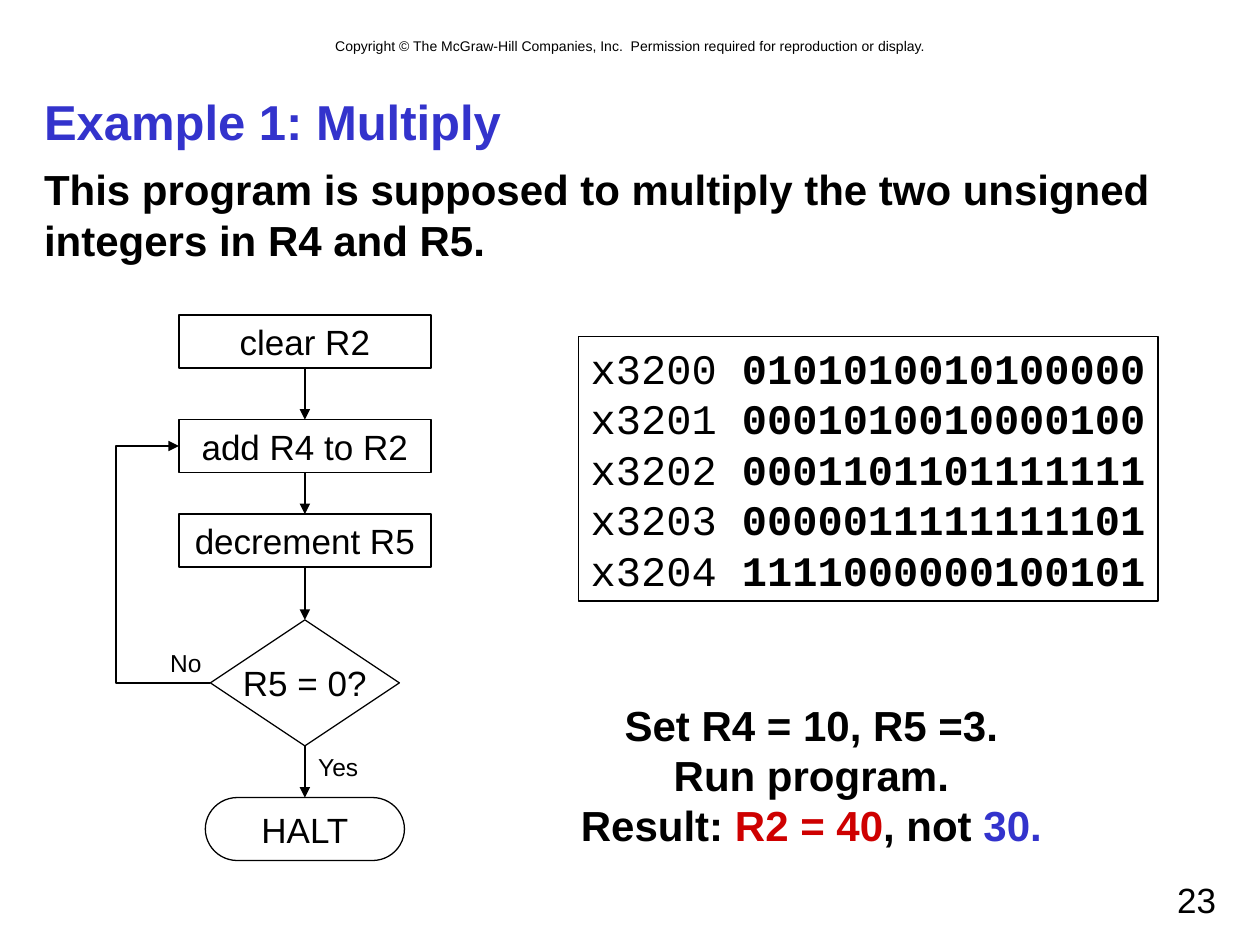
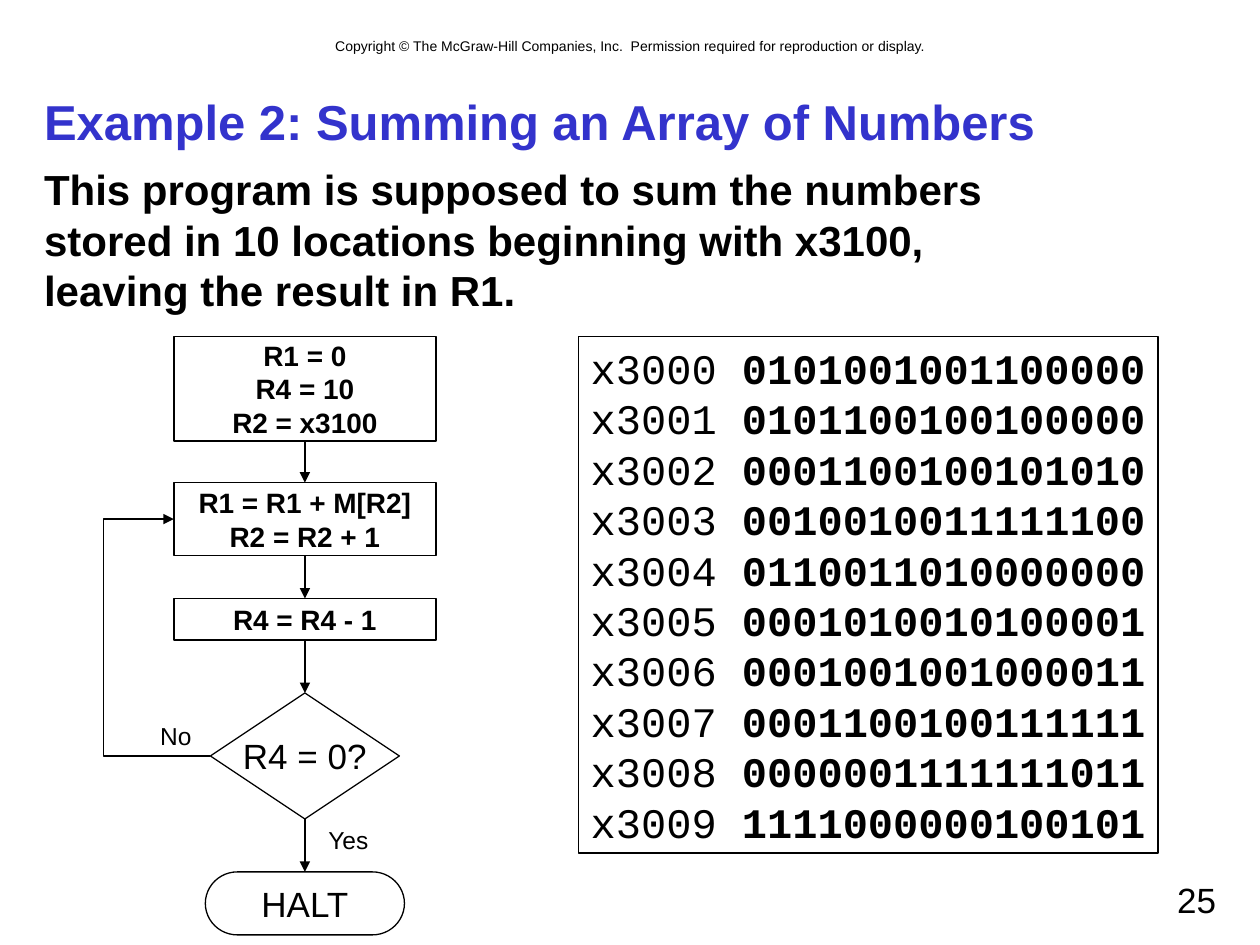
"""Build two flowchart example slides about tracing machine programs."""
from lxml.etree import SubElement
from pptx import Presentation
from pptx.dml.color import RGBColor
from pptx.enum.shapes import MSO_CONNECTOR as Link, MSO_SHAPE as Shape
from pptx.enum.text import MSO_ANCHOR as Anchor, MSO_AUTO_SIZE as AutoSize, PP_ALIGN as Align
from pptx.oxml.ns import qn
from pptx.util import Inches, Pt

BLACK = RGBColor(0x00, 0x00, 0x00)
BLUE = RGBColor(0x33, 0x33, 0xCC)
RED = RGBColor(0xCE, 0x00, 0x00)
SANS, MONO = "Arial", "Courier New"
COPYRIGHT = ("Copyright © The McGraw-Hill Companies, Inc.  "
             "Permission required for reproduction or display.")
FLOW_CENTER = 2.42
TOP, BOTTOM, LEFT = 0, 2, 1

DECISION = dict(kind=Shape.FLOWCHART_DECISION, width=1.5, height=1)
HALT = dict(kind=Shape.FLOWCHART_TERMINATOR, width=1.58, height=0.5, lines=["HALT"])
TASK = dict(kind=Shape.FLOWCHART_PROCESS, width=2, height=0.42)
STEP = dict(kind=Shape.RECTANGLE, width=2.08, size=16, bold=True)

SLIDES = [
    dict(
        title="Example 1: Multiply",
        body="This program is supposed to multiply the two unsigned\nintegers in R4 and R5.",
        body_height=1.08,
        number="23",
        flow_top=2.5,
        steps=[
            dict(TASK, lines=["clear R2"], gap=0.41),
            dict(TASK, lines=["add R4 to R2"], gap=0.33),
            dict(TASK, lines=["decrement R5"], gap=0.42),
            dict(DECISION, lines=["R5 = 0?"], gap=0.41),
            HALT,
        ],
        loop_left=0.92,
        no_left=1.25,
        yes_left=2.42,
        code_start="x320",
        code=["0101010010100000", "0001010010000100", "0001101101111111",
              "0000011111111101", "1111000000100101"],
        result=["Set R4 = 10, R5 =3.", "Run program.",
                [("Result: ", BLACK), ("R2 = 40", RED), (", not", BLACK), (" 30.", BLUE)]],
    ),
    dict(
        title="Example 2: Summing an Array of Numbers",
        body="This program is supposed to sum the numbers\n"
             "stored in 10 locations beginning with x3100,\nleaving the result in R1.",
        body_height=5.42,
        number="25",
        flow_top=2.67,
        steps=[
            dict(STEP, height=0.83, lines=["R1 = 0\nR4 = 10", "R2 = x3100"], gap=0.33),
            dict(STEP, height=0.58, lines=["R1 = R1 + M[R2]", "R2 = R2 + 1"], gap=0.34),
            dict(STEP, height=0.33, lines=["R4 = R4 - 1"], gap=0.42),
            dict(DECISION, lines=["R4 = 0?"], gap=0.42),
            HALT,
        ],
        loop_left=0.82,
        no_left=1.17,
        yes_left=2.5,
        code_start="x300",
        code=["0101001001100000", "0101100100100000", "0001100100101010",
              "0010010011111100", "0110011010000000", "0001010010100001",
              "0001001001000011", "0001100100111111", "0000001111111011",
              "1111000000100101"],
        result=[],
    ),
]


def write(box, lines, size=20, bold=False, color=BLACK, font=SANS,
          align=Align.LEFT, anchor=Anchor.TOP, wrap=False):
    """Fill a shape with paragraphs, each a string or a list of (text, colour or bold)."""
    frame = box.text_frame
    frame.word_wrap, frame.auto_size, frame.vertical_anchor = wrap, AutoSize.NONE, anchor
    for index, line in enumerate(lines):
        para = frame.paragraphs[0] if index == 0 else frame.add_paragraph()
        para.alignment, para.space_before = align, Pt(0)
        for text, change in [(line, color)] if isinstance(line, str) else line:
            for row, piece in enumerate(text.split("\n")):
                if row:
                    para.add_line_break()
                span = para.add_run()
                span.text = piece
                span.font.name, span.font.size = font, Pt(size)
                is_weight = isinstance(change, bool)
                span.font.bold = change if is_weight else bold
                span.font.color.rgb = color if is_weight else change


def place(box, left, top, width, height):
    """Move and size a placeholder."""
    box.left, box.top = Inches(left), Inches(top)
    box.width, box.height = Inches(width), Inches(height)


def add_text(page, at, lines, **look):
    """Add a text box."""
    write(page.shapes.add_textbox(*map(Inches, at)), lines, **look)


def add_outline(page, kind, at, lines, **look):
    """Add an unfilled shape with a thin black outline."""
    box = page.shapes.add_shape(kind, *map(Inches, at))
    box.shadow.inherit = False
    box.fill.background()
    box.line.color.rgb, box.line.width = BLACK, Pt(0.75)
    write(box, lines, **look)
    return box


def add_arrow(page, kind, start, start_side, end, end_side):
    """Join two shapes with an arrow."""
    arrow = page.shapes.add_connector(kind, 0, 0, 0, 0)
    arrow.begin_connect(start, start_side)
    arrow.end_connect(end, end_side)
    arrow.line.color.rgb, arrow.line.width = BLACK, Pt(0.75)
    SubElement(arrow.line._get_or_add_ln(), qn("a:tailEnd"), type="triangle")
    SubElement(arrow._element.spPr, qn("a:effectLst"))
    return arrow


def add_flowchart(page, content):
    """Stack the steps, link them and loop back from the decision."""
    boxes, top = [], content["flow_top"]
    for step in content["steps"]:
        width, height = step["width"], step["height"]
        at = (FLOW_CENTER - width / 2, top, width, height)
        boxes.append(add_outline(page, step["kind"], at, step["lines"],
                                 size=step.get("size", 20), bold=step.get("bold", False),
                                 align=Align.CENTER, anchor=Anchor.MIDDLE))
        top += height + step.get("gap", 0)
    for upper, lower in zip(boxes, boxes[1:]):
        add_arrow(page, Link.STRAIGHT, upper, BOTTOM, lower, TOP)

    decision, target = boxes[3], boxes[1]
    loop = add_arrow(page, Link.ELBOW, decision, LEFT, target, LEFT)
    reach = (decision.left - Inches(content["loop_left"])) / (decision.left - target.left)
    guides = loop._element.spPr.find(qn("a:prstGeom")).get_or_add_avLst()
    SubElement(guides, qn("a:gd"), name="adj1", fmla=f"val {round(reach * 100000)}")

    label = dict(size=14, align=Align.CENTER)
    decision_top = decision.top / Inches(1)
    add_text(page, (content["no_left"], decision_top + 0.17, 0.45, 0.34), ["No"], **label)
    add_text(page, (content["yes_left"], decision_top + 1, 0.53, 0.34), ["Yes"], **label)


def add_page(deck, content):
    """Build one example slide."""
    page = deck.slides.add_slide(deck.slide_layouts[1])
    title, body = page.shapes.title, page.placeholders[1]
    place(title, 0.25, 0.67, 9.5, 0.58)
    write(title, [content["title"]], size=28, bold=True, color=BLUE,
          anchor=Anchor.MIDDLE, wrap=True)
    place(body, 0.25, 1.25, 9.5, content["body_height"])
    write(body, [content["body"]], size=24, bold=True, wrap=True)
    layout = body.text_frame.paragraphs[0]._p.get_or_add_pPr()
    layout.set("marL", "0")
    layout.set("indent", "0")
    SubElement(layout, qn("a:buNone"))

    add_text(page, (0.67, 0.25, 8.67, 0.24), [COPYRIGHT], size=8,
             align=Align.CENTER, wrap=True)
    add_flowchart(page, content)
    code = [[(f"{content['code_start']}{row}", False), (f" {bits}", True)]
            for row, bits in enumerate(content["code"])]
    add_outline(page, Shape.RECTANGLE, (4.59, 2.67, 4.6, 0.1 + 0.4 * len(code)), code,
                size=24, font=MONO)
    if content["result"]:
        add_text(page, (4.51, 5.5, 3.86, 1.3), content["result"], size=24, bold=True,
                 align=Align.CENTER)
    add_text(page, (7.17, 6.92, 2.58, 0.42), [content["number"]], align=Align.RIGHT, wrap=True)


def main():
    """Build and save the deck."""
    deck = Presentation()
    deck.slide_width, deck.slide_height = Inches(10), Inches(7.5)
    for content in SLIDES:
        add_page(deck, content)
    deck.save("out.pptx")


if __name__ == "__main__":
    main()
